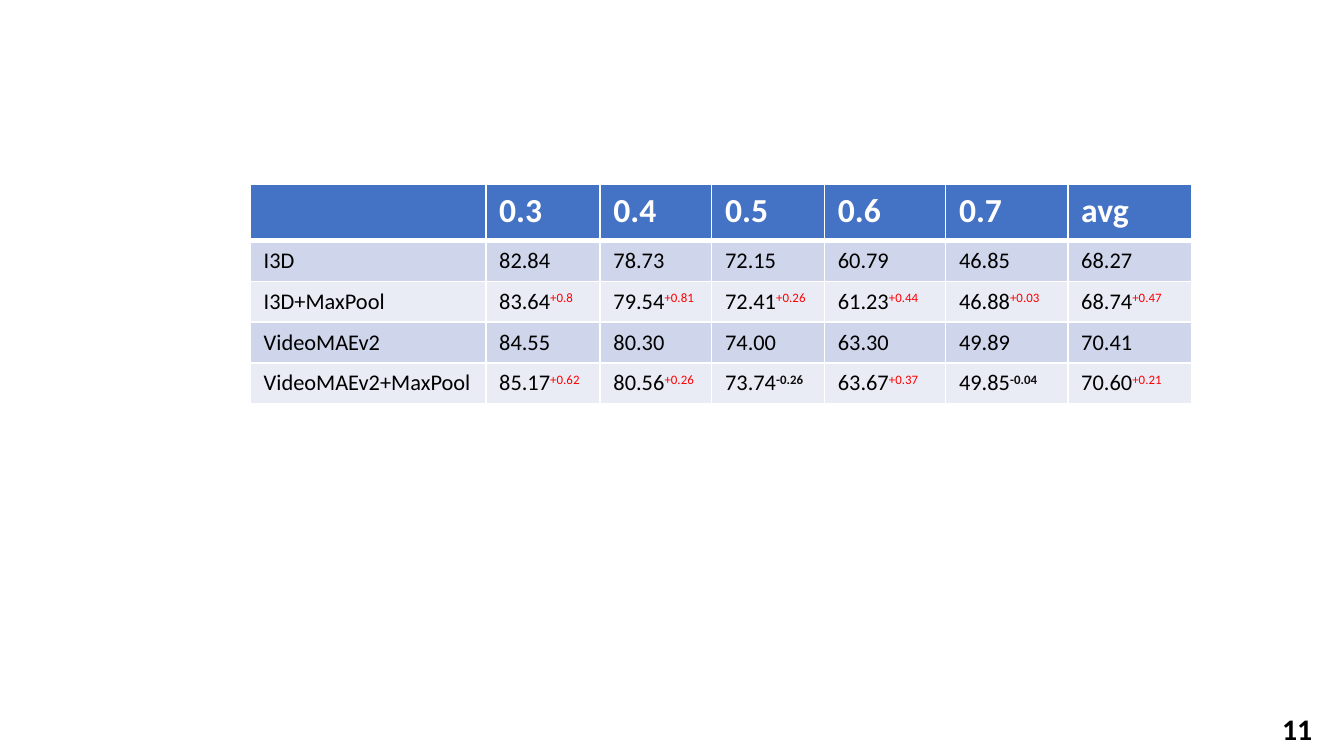
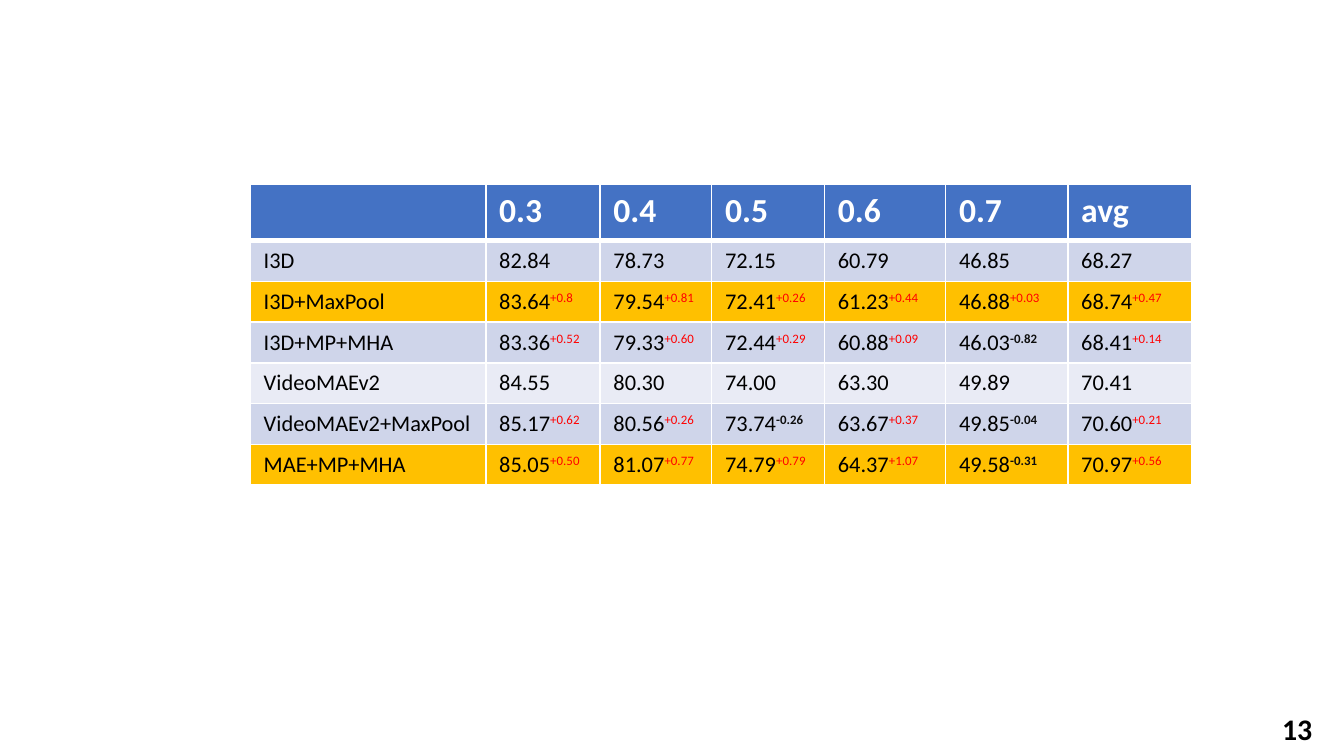
import lxml.etree
import pptx
import pptx.dml.color
import pptx.oxml.ns
import pptx.util

Cm = pptx.util.Cm
Pt = pptx.util.Pt
RGBColor = pptx.dml.color.RGBColor

WHITE = RGBColor(0xFF, 0xFF, 0xFF)
BLACK = RGBColor(0x00, 0x00, 0x00)
HEADER_BLUE = RGBColor(0x44, 0x72, 0xC4)
BAND_DARK = RGBColor(0xCF, 0xD5, 0xEA)
BAND_LIGHT = RGBColor(0xE9, 0xEB, 0xF5)
HIGHLIGHT = RGBColor(0xFF, 0xC0, 0x00)
GAIN_RED = RGBColor(0xFF, 0x00, 0x00)
LOSS_DARK = RGBColor(0x0D, 0x0D, 0x0D)

FONT = "Calibri"
COLUMN_WIDTHS = [4.45, 2.16, 2.11, 2.13, 2.29, 2.31, 2.34]
HEADER_HEIGHT = 1.07
ROW_HEIGHT = 0.77
SCORE_LENGTH = 5

HEADINGS = ["", "0.3", "0.4", "0.5", "0.6", "0.7", "avg"]
I3D = ["I3D", "82.84", "78.73", "72.15", "60.79", "46.85", "68.27"]
I3D_POOL = ["I3D+MaxPool", "83.64+0.8", "79.54+0.81", "72.41+0.26",
            "61.23+0.44", "46.88+0.03", "68.74+0.47"]
I3D_ATTENTION = ["I3D+MP+MHA", "83.36+0.52", "79.33+0.60", "72.44+0.29",
                 "60.88+0.09", "46.03-0.82", "68.41+0.14"]
MAE = ["VideoMAEv2", "84.55", "80.30", "74.00", "63.30", "49.89", "70.41"]
MAE_POOL = ["VideoMAEv2+MaxPool", "85.17+0.62", "80.56+0.26", "73.74-0.26",
            "63.67+0.37", "49.85-0.04", "70.60+0.21"]
MAE_ATTENTION = ["MAE+MP+MHA", "85.05+0.50", "81.07+0.77", "74.79+0.79",
                 "64.37+1.07", "49.58-0.31", "70.97+0.56"]


class ResultsDeck:
    def __init__(self):
        self.deck = pptx.Presentation()
        self.deck.slide_width = Cm(25.4)
        self.deck.slide_height = Cm(14.29)
        self.page = None

    def add_page(self, number):
        self.page = self.deck.slides.add_slide(self.deck.slide_layouts[6])
        box = self.page.shapes.add_textbox(Cm(23.98), Cm(13.31), Cm(1.19), Cm(0.81))
        box.text_frame.word_wrap = True
        self.add_span(box.text_frame.paragraphs[0], str(number), 16, BLACK, bold=True)

    def add_span(self, para, text, size, colour, bold=False, raised=False):
        span = para.add_run()
        span.text = text
        span.font.name = FONT
        span.font.size = Pt(size)
        span.font.bold = bold
        span.font.color.rgb = colour
        if raised:
            span._r.get_or_add_rPr().set("baseline", "30000")

    def add_borders(self, cell, top=1, bottom=1):
        properties = cell._tc.get_or_add_tcPr()
        qn = pptx.oxml.ns.qn
        for side, width in (("L", 1), ("R", 1), ("T", top), ("B", bottom)):
            line = lxml.etree.SubElement(properties, qn(f"a:ln{side}"), w=str(Pt(width)))
            fill = lxml.etree.SubElement(line, qn("a:solidFill"))
            lxml.etree.SubElement(fill, qn("a:srgbClr"), val=str(WHITE))

    def fill_cell(self, cell, colour):
        cell.fill.solid()
        cell.fill.fore_color.rgb = colour

    def add_score(self, para, text):
        score, change = text[:SCORE_LENGTH], text[SCORE_LENGTH:]
        self.add_span(para, score, 12, BLACK)
        if change:
            loss = change.startswith("-")
            self.add_span(para, change, 12, LOSS_DARK if loss else GAIN_RED,
                          bold=loss, raised=True)

    def add_results(self, results, highlighted=()):
        height = HEADER_HEIGHT + ROW_HEIGHT * len(results)
        table = self.page.shapes.add_table(
            len(results) + 1, len(HEADINGS), Cm(4.73), Cm(3.48),
            Cm(sum(COLUMN_WIDTHS)), Cm(height)).table
        for column, width in zip(table.columns, COLUMN_WIDTHS):
            column.width = Cm(width)
        table.rows[0].height = Cm(HEADER_HEIGHT)
        for column, heading in enumerate(HEADINGS):
            cell = table.cell(0, column)
            self.add_borders(cell, bottom=3)
            self.fill_cell(cell, HEADER_BLUE)
            if heading:
                self.add_span(cell.text_frame.paragraphs[0], heading, 18, WHITE, bold=True)
        for row, result in enumerate(results, start=1):
            table.rows[row].height = Cm(ROW_HEIGHT)
            band = BAND_DARK if row % 2 else BAND_LIGHT
            for column, text in enumerate(result):
                cell = table.cell(row, column)
                self.add_borders(cell, top=3 if row == 1 else 1)
                self.fill_cell(cell, HIGHLIGHT if result in highlighted else band)
                para = cell.text_frame.paragraphs[0]
                if column == 0:
                    self.add_span(para, text, 12, BLACK)
                else:
                    self.add_score(para, text)


def main():
    results = ResultsDeck()
    results.add_page(11)
    results.add_results([I3D, I3D_POOL, MAE, MAE_POOL])
    results.add_page(13)
    results.add_results(
        [I3D, I3D_POOL, I3D_ATTENTION, MAE, MAE_POOL, MAE_ATTENTION],
        highlighted=[I3D_POOL, MAE_ATTENTION])
    results.deck.save("out.pptx")


if __name__ == "__main__":
    main()
